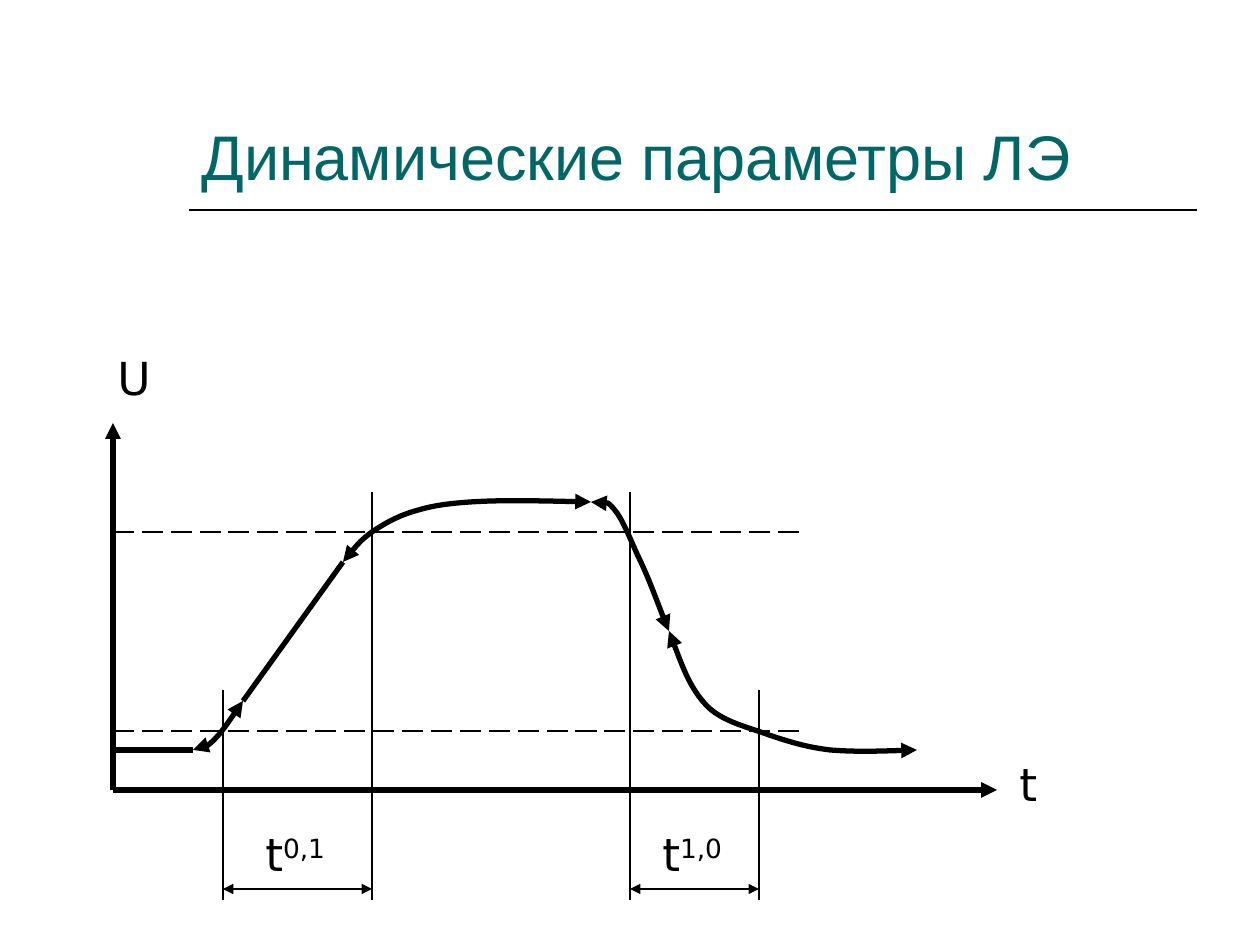
"""Build the slide on the dynamic parameters of a logic element."""
from dataclasses import dataclass

from lxml import etree
from pptx import Presentation, util as u
from pptx.dml.color import RGBColor
from pptx.enum import dml, shapes, text
from pptx.oxml.ns import qn

SCALE = u.Inches(1) / 126
COLORS = {"ink": "000000", "title": "006666"}
THICK, THIN, HAIR = 3, 1.5, 1
HEAD, TAIL = "headEnd", "tailEnd"
BOTH = (HEAD, TAIL)
LEVEL_0, LEVEL_1, AXIS_X, AXIS_Y = 731, 532, 113, 790
MARK_END, SPAN_Y, LABEL_Y = 900, 889, 820


@dataclass(frozen=True)
class Line:
    start: tuple[int, int]
    end: tuple[int, int]
    width: float = THIN
    arrows: tuple[str, ...] = ()
    dashed: bool = False


@dataclass(frozen=True)
class Label:
    box: tuple[int, int, int, int]
    base: str
    power: str = ""
    font: str = "DejaVu Sans"
    size: int = 26
    color: str = "ink"
    anchor: text.MSO_ANCHOR = text.MSO_ANCHOR.TOP


@dataclass(frozen=True)
class Delay:
    left: int
    left_top: int
    right: int
    right_top: int
    label_x: int
    power: str


Curve = list[tuple[int, int]]

LINES = [
    Line((189, 210), (1197, 210), HAIR),
    Line((AXIS_X, AXIS_Y), (AXIS_X, 423), THICK, (TAIL,)),
    Line((AXIS_X, AXIS_Y), (997, AXIS_Y), THICK, (TAIL,)),
    Line((AXIS_X, 750), (193, 750), THICK),
    Line((243, 701), (343, 562), THICK),
    *(Line((799, y), (AXIS_X, y), dashed=True) for y in (LEVEL_1, LEVEL_0)),
]
LABELS = [
    Label((189, 42, 1008, 157), "Динамические параметры ЛЭ", font="Arial",
          size=36, color="title", anchor=text.MSO_ANCHOR.BOTTOM),
    Label((105, 344, 79, 68), "U"),
    Label((1007, 750, 79, 68), "t"),
]
DELAYS = [
    Delay(223, 690, 372, 492, 253, "0,1"),
    Delay(630, 492, 759, 690, 650, "1,0"),
]
CURVES: list[Curve] = [
    [(193, 750), (199, 750), (205, 748), (213, 741),
     (222, 732), (232, 717), (243, 701)],
    [(343, 562), (352, 551), (360, 541), (372, 532),
     (384, 524), (396, 517), (412, 512),
     (428, 507), (441, 504), (471, 502),
     (501, 500), (546, 501), (591, 502)],
    [(591, 502), (599, 502), (606, 500), (614, 509),
     (622, 518), (629, 536), (638, 556),
     (648, 576), (664, 620), (669, 631)],
    [(669, 631), (680, 660), (690, 688), (707, 706),
     (723, 722), (748, 727), (769, 735),
     (790, 742), (806, 747), (830, 750),
     (856, 752), (887, 751), (917, 750)],
]


def px(n: int) -> int:
    """Turn pixels into EMU."""
    return round(n * SCALE)


def style_line(sp, width: float, arrows: tuple[str, ...]) -> None:
    """Set ink colour, width and arrowheads."""
    sp.line.color.rgb = RGBColor.from_string(COLORS["ink"])
    sp.line.width = u.Pt(width)
    ln = sp.line._get_or_add_ln()
    for end in arrows:
        etree.SubElement(ln, qn(f"a:{end}"), type="triangle")


def draw_line(s, line: Line) -> None:
    """Draw one straight connector without a shadow."""
    ends = [px(n) for n in (*line.start, *line.end)]
    sp = s.shapes.add_connector(shapes.MSO_CONNECTOR.STRAIGHT, *ends)
    if line.dashed:
        sp.line.dash_style = dml.MSO_LINE.LONG_DASH
    style_line(sp, line.width, line.arrows)
    etree.SubElement(sp._element.spPr, qn("a:effectLst"))


def draw_curve(s, curve: Curve) -> None:
    """Draw a chain of cubic curves, three points to each after the start."""
    builder = s.shapes.build_freeform(*curve[0], scale=SCALE)
    builder.add_line_segments(curve[1:], close=False)
    sp = builder.convert_to_shape()
    segments = list(sp._element.iter(qn("a:lnTo")))
    for i in range(0, len(segments), 3):
        first, *rest = segments[i:i + 3]
        first.tag = qn("a:cubicBezTo")
        for segment in rest:
            first.append(segment[0])
            segment.getparent().remove(segment)
    sp.fill.background()
    sp.shadow.inherit = False
    style_line(sp, THICK, BOTH)


def draw_label(s, label: Label) -> None:
    """Draw a text box with an optional superscript."""
    sp = s.shapes.add_textbox(*(px(n) for n in label.box))
    tf = sp.text_frame
    tf.word_wrap = True
    tf.vertical_anchor = label.anchor
    p = tf.paragraphs[0]
    p.font.name = label.font
    p.font.size = u.Pt(label.size)
    p.font.color.rgb = RGBColor.from_string(COLORS[label.color])
    p.add_run().text = label.base
    if label.power:
        r = p.add_run()
        r.text = label.power
        r.font._element.set("baseline", "30000")


def draw_delay(s, delay: Delay) -> None:
    """Draw two time marks, the span between them and its label."""
    for x, top in ((delay.left, delay.left_top), (delay.right, delay.right_top)):
        draw_line(s, Line((x, top), (x, MARK_END)))
    draw_line(s, Line((delay.left, SPAN_Y), (delay.right, SPAN_Y), arrows=BOTH))
    draw_label(s, Label((delay.label_x, LABEL_Y, 100, 68), "t", delay.power))


def main() -> None:
    """Build and save the slide."""
    prs = Presentation()
    prs.slide_width, prs.slide_height = px(1260), px(945)
    s = prs.slides.add_slide(prs.slide_layouts[6])
    for line in LINES:
        draw_line(s, line)
    for label in LABELS:
        draw_label(s, label)
    for curve in CURVES:
        draw_curve(s, curve)
    for delay in DELAYS:
        draw_delay(s, delay)
    prs.save("out.pptx")


if __name__ == "__main__":
    main()
